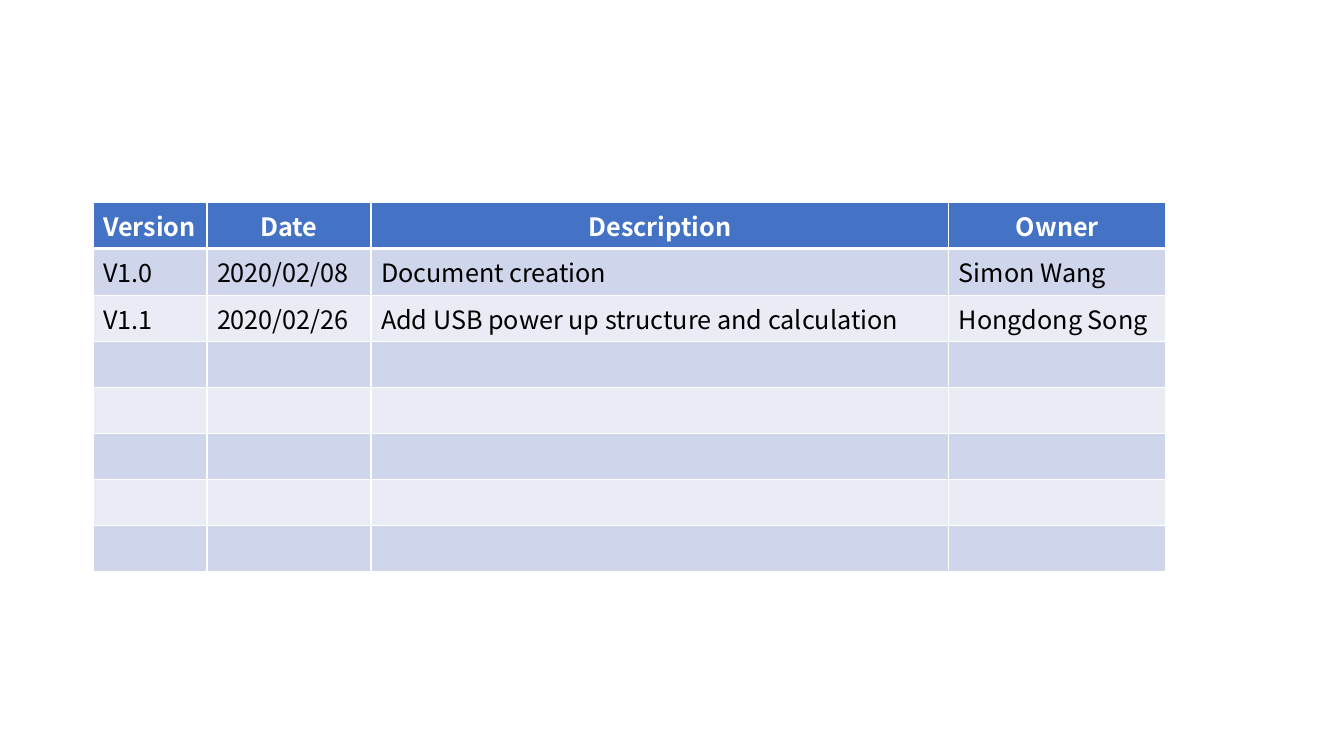
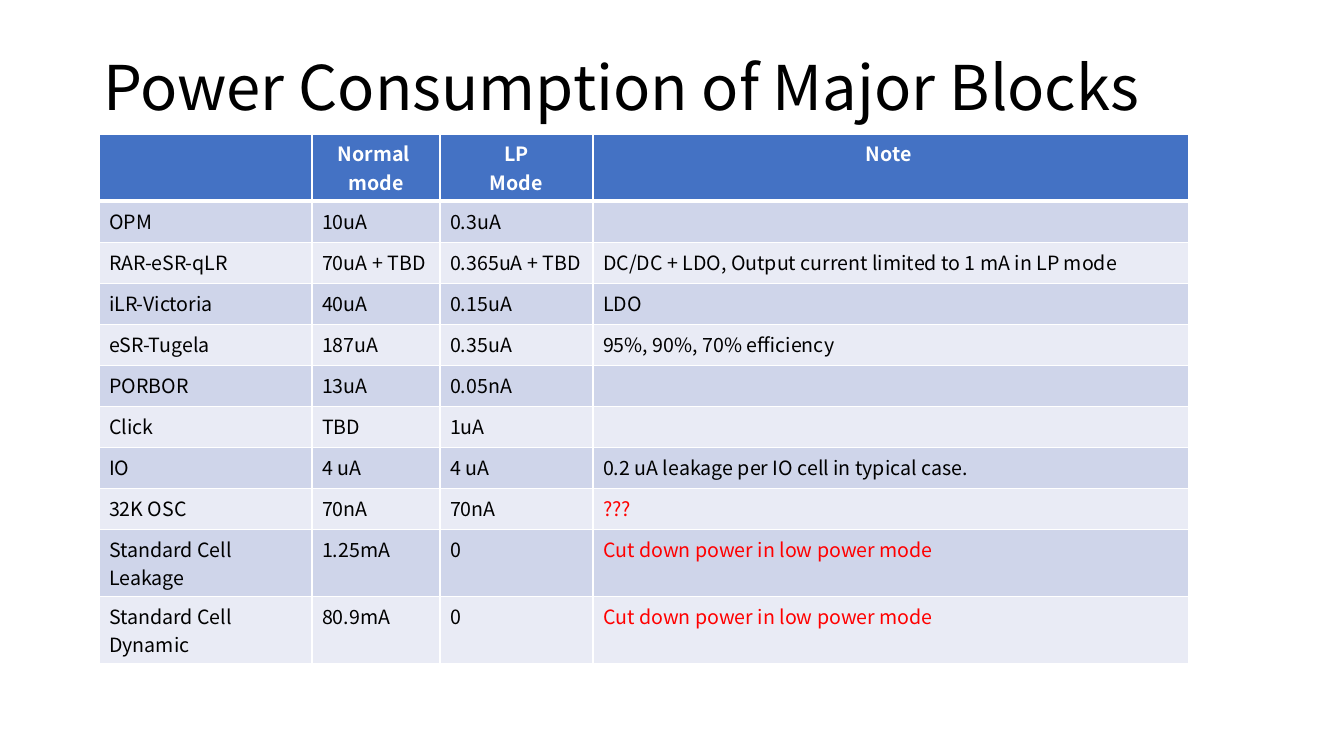
from dataclasses import dataclass

from pptx import Presentation
from pptx.dml.color import RGBColor
from pptx.enum.text import MSO_ANCHOR, MSO_AUTO_SIZE, PP_ALIGN as Align
from pptx.oxml import parse_xml
from pptx.oxml.ns import nsdecls
from pptx.util import Emu, Pt

EMU_PER_PX = 914400 / 100.8
TITLE_ONLY, BLANK = 5, 6


@dataclass(frozen=True)
class Theme:
    font: str = "Noto Sans CJK SC"
    ink: str = "000000"
    white: str = "FFFFFF"
    alert: str = "FF0000"
    header: str = "4472C4"
    bands: tuple = ("CFD5EA", "E9EBF5")
    title_size: int = 44
    large_size: int = 18
    small_size: int = 14
    border: int = 1
    header_rule: int = 3


THEME = Theme()

HISTORY_COLUMNS = (114, 164, 578, 217)
HISTORY_ROWS = [
    ("Version", "Date", "Description", "Owner"),
    ("V1.0", "2020/02/08", "Document creation", "Simon Wang"),
    ("V1.1", "2020/02/26", "Add USB power up structure and calculation",
     "Hongdong Song"),
] + [("",) * 4] * 5

POWER_COLUMNS = (213, 128, 153, 596)
CUT_DOWN = "Cut down power in low power mode"
POWER_ALERTS = ("???", CUT_DOWN)
POWER_ROWS = [
    ("", "Normal \nmode", "LP\nMode", "Note "),
    ("OPM", "10uA", "0.3uA", ""),
    ("RAR-eSR-qLR", "70uA + TBD", "0.365uA + TBD",
     "DC/DC + LDO, Output current limited to 1 mA in LP mode"),
    ("iLR-Victoria", "40uA", "0.15uA", "LDO"),
    ("eSR-Tugela", "187uA", "0.35uA", "95%, 90%, 70% efficiency"),
    ("PORBOR", "13uA", "0.05nA", ""),
    ("Click", "TBD", "1uA", ""),
    ("IO", "4 uA", "4 uA", "0.2 uA leakage per IO cell in typical case."),
    ("32K OSC", "70nA", "70nA", "???"),
    ("Standard Cell Leakage", "1.25mA", "0", CUT_DOWN),
    ("Standard Cell Dynamic", "80.9mA", "0", CUT_DOWN),
]


def px(length):
    return Emu(round(length * EMU_PER_PX))


def write_text(frame, text, *, size, color=THEME.ink, bold=False,
               align=Align.LEFT, line_spacing=None):
    """Write one paragraph for each line of the text."""
    for index, line in enumerate(text.split("\n")):
        paragraph = frame.add_paragraph() if index else frame.paragraphs[0]
        paragraph.alignment = align
        paragraph.line_spacing = line_spacing
        paragraph.font.size = Pt(size)
        if line:
            run = paragraph.add_run()
            run.text = line
            run.font.name = THEME.font
            run.font.size = Pt(size)
            run.font.bold = bold
            run.font.color.rgb = RGBColor.from_string(color)


def style_cell(cell, fill, bottom_width):
    properties = cell._tc.get_or_add_tcPr()
    for side in "LRTB":
        width = bottom_width if side == "B" else THEME.border
        properties.append(parse_xml(
            f'<a:ln{side} {nsdecls("a")} w="{Pt(width)}"><a:solidFill>'
            f'<a:srgbClr val="{THEME.white}"/></a:solidFill></a:ln{side}>'))
    cell.fill.solid()
    cell.fill.fore_color.rgb = RGBColor.from_string(fill)


def add_banded_table(slide, left, top, columns, heights, rows, size, alerts=()):
    """Add a table with a header row; texts listed in alerts are red."""
    table = slide.shapes.add_table(
        len(rows), len(columns), px(left), px(top),
        px(sum(columns)), px(sum(heights))).table
    for column, width in zip(table.columns, columns):
        column.width = px(width)
    for row_index, (texts, height) in enumerate(zip(rows, heights)):
        table.rows[row_index].height = px(height)
        is_header = row_index == 0
        fill = THEME.header if is_header else THEME.bands[(row_index - 1) % 2]
        rule = THEME.header_rule if is_header else THEME.border
        for column_index, text in enumerate(texts):
            cell = table.cell(row_index, column_index)
            style_cell(cell, fill, rule)
            if is_header:
                color = THEME.white
            else:
                color = THEME.alert if text in alerts else THEME.ink
            centered = is_header and column_index > 0
            write_text(cell.text_frame, text, size=size, color=color,
                       bold=is_header,
                       align=Align.CENTER if centered else Align.LEFT)


def place_title(slide, text, left, top, width, height):
    title = slide.shapes.title
    title.left, title.top = px(left), px(top)
    title.width, title.height = px(width), px(height)
    frame = title.text_frame
    frame.word_wrap = True
    frame.auto_size = MSO_AUTO_SIZE.NONE
    frame.vertical_anchor = MSO_ANCHOR.MIDDLE
    write_text(frame, text, size=THEME.title_size, line_spacing=0.9)


def add_history_slide(presentation):
    slide = presentation.slides.add_slide(presentation.slide_layouts[BLANK])
    heights = [46] * len(HISTORY_ROWS)
    add_banded_table(slide, 93, 202, HISTORY_COLUMNS, heights, HISTORY_ROWS,
                     THEME.large_size)


def add_power_slide(presentation):
    slide = presentation.slides.add_slide(presentation.slide_layouts[TITLE_ONLY])
    place_title(slide, "Power Consumption of Major Blocks", 93, 40, 1159, 101)
    heights = [66] + [41] * (len(POWER_ROWS) - 3) + [67] * 2
    add_banded_table(slide, 99, 134, POWER_COLUMNS, heights, POWER_ROWS,
                     THEME.small_size, POWER_ALERTS)


def main():
    presentation = Presentation()
    presentation.slide_width, presentation.slide_height = px(1344), px(756)
    add_history_slide(presentation)
    add_power_slide(presentation)
    presentation.save("out.pptx")


if __name__ == "__main__":
    main()
